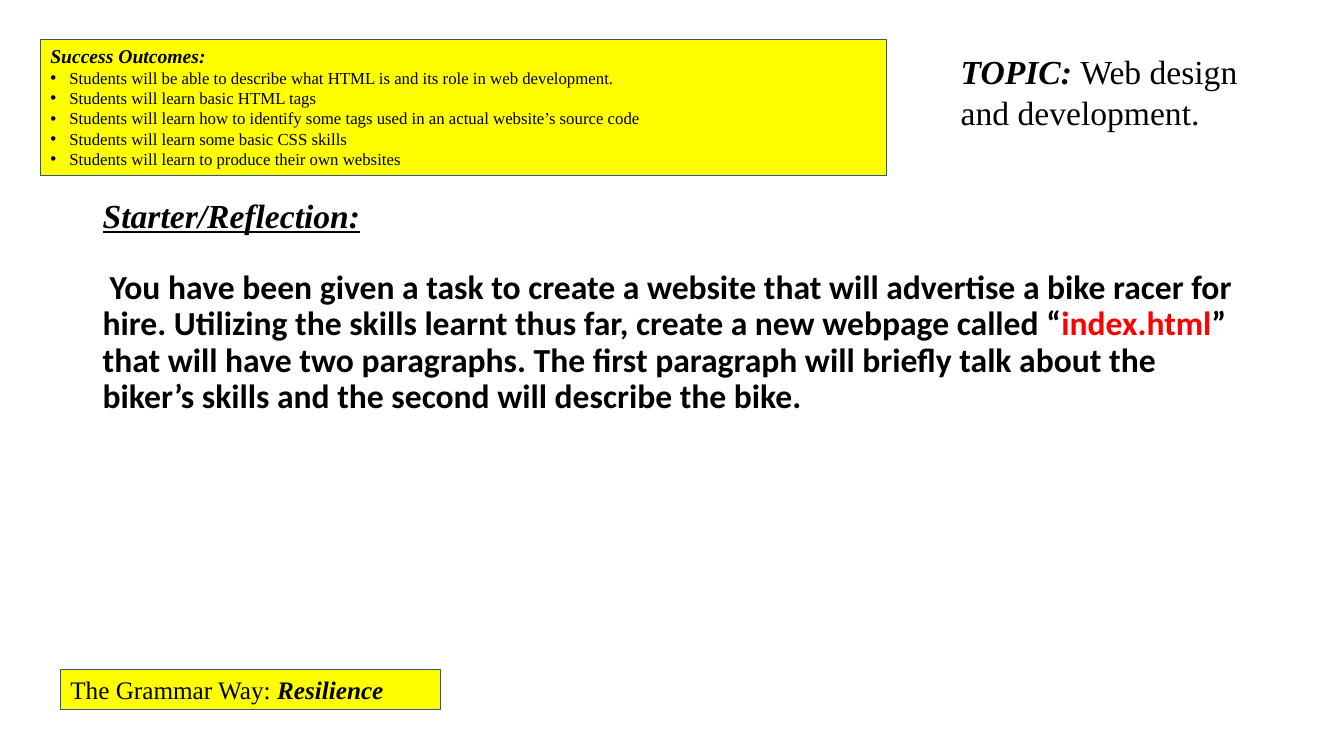
from pptx import Presentation
from pptx.dml.color import RGBColor
from pptx.enum.shapes import MSO_SHAPE
from pptx.enum.text import MSO_ANCHOR, MSO_AUTO_SIZE, PP_ALIGN
from pptx.oxml.ns import qn
from pptx.util import Inches, Pt
from lxml.etree import SubElement

SERIF = "Times New Roman"
BULLET_INDENT = Inches(0.19)
STRONG = dict(bold=True, italic=True)

deck = Presentation()
deck.slide_width, deck.slide_height = Inches(13.33), Inches(7.5)
page = deck.slides.add_slide(deck.slide_layouts[6])


def add_span(para, text, size=24, font=SERIF, color="000000",
             bold=False, italic=False, underline=False):
    span = para.add_run()
    span.text = text
    span.font.size = Pt(size)
    span.font.name = font
    span.font.color.rgb = RGBColor.from_string(color)
    span.font.bold, span.font.italic, span.font.underline = bold, italic, underline


def add_box(left, top, width, height, fill=None):
    """Add a wrapped text area, as a bordered rectangle when a fill is given."""
    place = [Inches(length) for length in (left, top, width, height)]
    if fill:
        box = page.shapes.add_shape(MSO_SHAPE.RECTANGLE, *place)
        box.shadow.inherit = False
        box.fill.solid()
        box.fill.fore_color.rgb = RGBColor.from_string(fill)
        box.line.color.rgb = RGBColor.from_string("325491")
        box.line.width = Pt(0.75)
    else:
        box = page.shapes.add_textbox(*place)
    frame = box.text_frame
    frame.word_wrap = True
    frame.auto_size = MSO_AUTO_SIZE.NONE
    frame.vertical_anchor = MSO_ANCHOR.TOP
    frame.paragraphs[0].alignment = PP_ALIGN.LEFT
    return frame


# Starter task
starter = add_box(0.92, 2.28, 11.5, 1.91)
starter.vertical_anchor = MSO_ANCHOR.MIDDLE
starter.margin_bottom = Inches(0.42)
heading = starter.paragraphs[0]
heading.line_spacing = 0.9
heading.space_after = Pt(25)
add_span(heading, "Starter/Reflection:", underline=True, **STRONG)

task = starter.add_paragraph()
task.line_spacing = 0.9
task._p.get_or_add_pPr().set("indent", str(Inches(0.07)))
for text, color in (
    ("You have been given a task to create a website that will advertise a bike "
     "racer for hire. Utilizing the skills learnt thus far, create a new webpage "
     "called “", "000000"),
    ("index.html", "FF0000"),
    ("” that will have two paragraphs. The first paragraph will briefly talk about "
     "the biker’s skills and the second will describe the bike.", "000000"),
):
    add_span(task, text, font="Calibri", color=color, bold=True)

# School value
value = add_box(0.6, 6.64, 3.77, 0.4, fill="FFFF00").paragraphs[0]
add_span(value, "The Grammar Way: ", size=18)
add_span(value, "Resilience", size=18, **STRONG)

# Topic
topic = add_box(9.43, 0.46, 3.12, 0.91).paragraphs[0]
add_span(topic, "TOPIC: ", **STRONG)
add_span(topic, "Web design and development.")

# Success outcomes
outcomes = add_box(0.4, 0.39, 8.39, 1.35, fill="FFFF00")
add_span(outcomes.paragraphs[0], "Success Outcomes:", size=14, **STRONG)
for outcome in (
    "Students will be able to describe what HTML is and its role in web development.",
    "Students will learn basic HTML tags",
    "Students will learn how to identify some tags used in an actual website’s source code",
    "Students will learn some basic CSS skills",
    "Students will learn to produce their own websites",
):
    para = outcomes.add_paragraph()
    para.alignment = PP_ALIGN.LEFT
    settings = para._p.get_or_add_pPr()
    settings.set("marL", str(BULLET_INDENT))
    settings.set("indent", str(-BULLET_INDENT))
    SubElement(settings, qn("a:buFont"), typeface="Arial")
    SubElement(settings, qn("a:buChar"), char="•")
    add_span(para, outcome, size=12)

deck.save("out.pptx")
